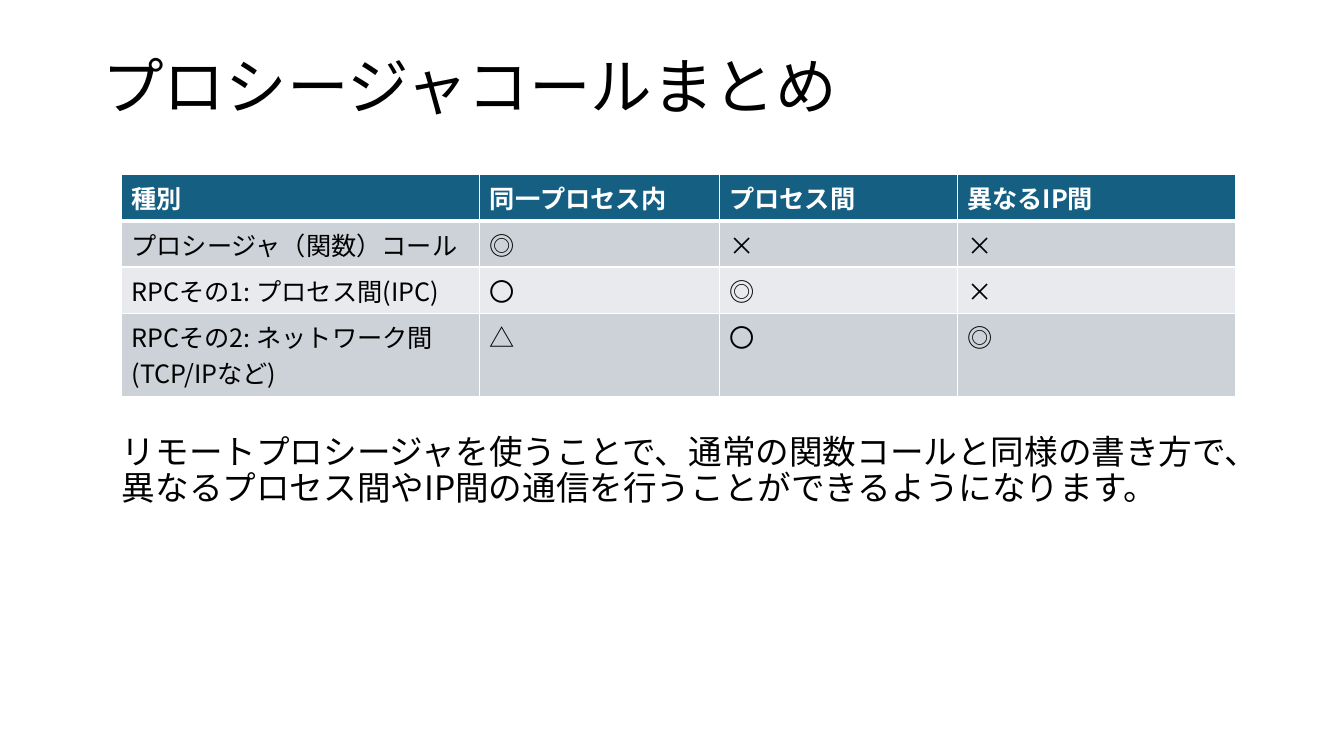
import pptx
import pptx.util
import pptx.dml.color
import pptx.enum.lang
import pptx.enum.text
import pptx.oxml
import pptx.oxml.ns

Pt = pptx.util.Pt
FONT = "Noto Sans CJK JP"
BLACK, WHITE = "000000", "FFFFFF"
HEADER, BAND_DARK, BAND_LIGHT = "156082", "CCD2D8", "E8EAED"
COLUMNS = [256, 171, 170, 199]
ROWS = [33, 33, 33, 59.5]
CALLS = [
    ["種別", "同一プロセス内", "プロセス間", "異なるIP間"],
    ["プロシージャ（関数）コール", "◎", "×", "×"],
    ["RPCその1: プロセス間(IPC)", "〇", "◎", "×"],
    ["RPCその2: ネットワーク間\n(TCP/IPなど)", "△", "〇", "◎"],
]


def rgb(value):
    """Return the colour for a hex string."""
    return pptx.dml.color.RGBColor.from_string(value)


def set_text(tf, text, size, color=BLACK, bold=False):
    """Fill a text frame and format every run."""
    tf.text = text
    for p in tf.paragraphs:
        for r in p.runs:
            r.font.size, r.font.bold, r.font.name = Pt(size), bold, FONT
            r.font.color.rgb = rgb(color)
            r.font.language_id = pptx.enum.lang.MSO_LANGUAGE_ID.JAPANESE
            ns = pptx.oxml.ns.nsdecls("a")
            ea = pptx.oxml.parse_xml(f'<a:ea {ns} typeface="{FONT}"/>')
            r.font._element.append(ea)


def set_borders(cell, bottom):
    """Draw white cell borders with the given bottom width in points."""
    tc_pr = cell._tc.get_or_add_tcPr()
    ns = pptx.oxml.ns.nsdecls("a")
    for i, (side, width) in enumerate(zip("LRTB", [1, 1, 1, bottom])):
        line = pptx.oxml.parse_xml(
            f'<a:ln{side} {ns} w="{Pt(width)}"><a:solidFill>'
            f'<a:srgbClr val="{WHITE}"/></a:solidFill></a:ln{side}>')
        tc_pr.insert(i, line)


def add_text(s, box, text, size, anchor, before=0):
    """Place a wrapped paragraph of text in the box."""
    tf = s.shapes.add_textbox(*map(Pt, box)).text_frame
    tf.word_wrap = True
    tf.vertical_anchor = anchor
    set_text(tf, text, size)
    p = tf.paragraphs[0]
    p.line_spacing = 0.9
    p.space_before = Pt(before)


def add_call_table(s, box):
    """Place the comparison table of procedure calls in the box."""
    table = s.shapes.add_table(len(ROWS), len(COLUMNS), *map(Pt, box)).table
    for column, width in zip(table.columns, COLUMNS):
        column.width = Pt(width)
    for i, (row, height) in enumerate(zip(table.rows, ROWS)):
        row.height = Pt(height)
        head = i == 0
        fill = HEADER if head else BAND_DARK if i % 2 else BAND_LIGHT
        for cell, text in zip(row.cells, CALLS[i]):
            set_text(cell.text_frame, text, 18, WHITE if head else BLACK, head)
            cell.fill.solid()
            cell.fill.fore_color.rgb = rgb(fill)
            set_borders(cell, 3 if head else 1)


def main():
    """Build the summary slide and save it."""
    prs = pptx.Presentation()
    prs.slide_width, prs.slide_height = Pt(960), Pt(540)
    s = prs.slides.add_slide(prs.slide_layouts[6])
    anchors = pptx.enum.text.MSO_ANCHOR
    add_text(s, (66, 29, 828, 70), "プロシージャコールまとめ", 44, anchors.MIDDLE)
    add_call_table(s, (86.75, 124.75, sum(COLUMNS), sum(ROWS)))
    add_text(s, (80, 307.5, 831, 66),
             "リモートプロシージャを使うことで、通常の関数コールと同様の書き方で、"
             "異なるプロセス間やIP間の通信を行うことができるようになります。",
             24, anchors.TOP, 10)
    prs.save("out.pptx")


if __name__ == "__main__":
    main()
